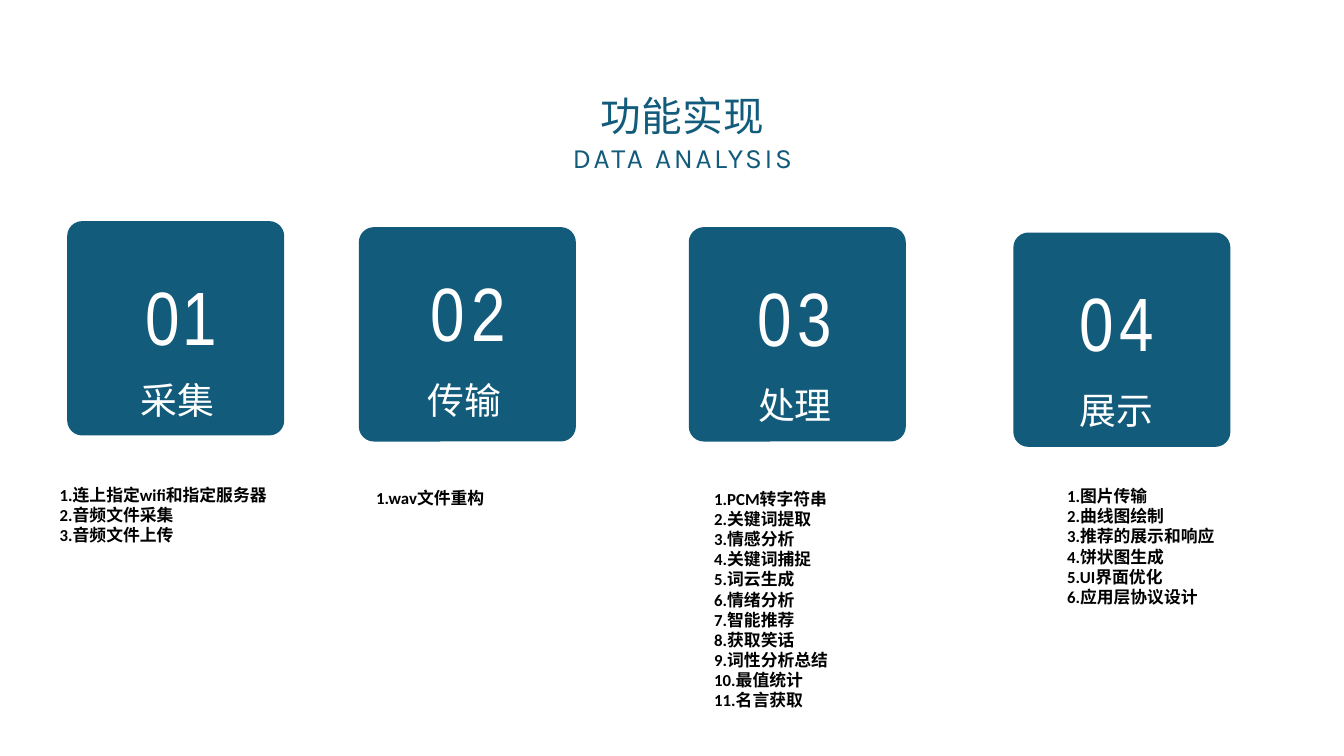
import pptx
import pptx.dml.color
import pptx.enum.shapes
import pptx.enum.text
import pptx.util
from lxml import etree
from pptx.oxml.ns import qn
from pptx.util import Inches

TEAL = "125B7B"
WHITE = "FFFFFF"
BLACK = "000000"
CJK = "Noto Sans CJK SC"
CENTER = pptx.enum.text.PP_ALIGN.CENTER


def color(value):
    return pptx.dml.color.RGBColor.from_string(value)


def add_span(para, text, size, font, fill, spacing):
    """Add a run with letter spacing in points."""
    span = para.add_run()
    span.text = text
    span.font.size = pptx.util.Pt(size)
    span.font.name = font
    span.font.color.rgb = color(fill)
    properties = span.font._element
    properties.set("spc", str(round(spacing * 100)))
    if font == CJK:
        etree.SubElement(properties, qn("a:ea")).set("typeface", font)


deck = pptx.Presentation()
deck.slide_width = Inches(20)
deck.slide_height = Inches(11.25)
page = deck.slides.add_slide(deck.slide_layouts[5])

title = page.shapes.title
title.left, title.top = Inches(1.11), Inches(-0.29)
title.width, title.height = Inches(17.78), Inches(2.89)
frame = title.text_frame
frame.word_wrap = True
frame.auto_size = pptx.enum.text.MSO_AUTO_SIZE.SHAPE_TO_FIT_TEXT
frame.vertical_anchor = pptx.enum.text.MSO_ANCHOR.TOP
frame.margin_left = frame.margin_right = frame.margin_bottom = 0
frame.margin_top = Inches(1.65)
para = frame.paragraphs[0]
para.alignment = CENTER
para._p.get_or_add_pPr().set("marL", str(Inches(0.31)))
add_span(para, "功能实现", 43.5, CJK, TEAL, 0.2)
para.add_line_break()
add_span(para, "DATA ", 30, "Karla", TEAL, 2.9)
add_span(para, "ANALYSIS", 30, "Karla", TEAL, 2.8)

# card left and top; label left, top, height, inset, digit spacing, space before each line
# name; list left, top, width, height; list items
stages = [
    ((1, 3.29), (1.58, 3.46, 2.85, 0.55, 3.1, 39.5, 19.1), "采集 ",
     (0.79, 7.16, 3.43, 1.01),
     ["连上指定wifi和指定服务器", "音频文件采集", "音频文件上传"]),
    ((5.34, 3.38), (5.85, 3.32, 2.99, 0.64, 6.5, 46.4, 22.6), "传输 ",
     (5.5, 7.21, 1.83, 0.4),
     ["wav文件重构"]),
    ((10.25, 3.38), (10.71, 3.39, 2.99, 0.64, 6.4, 46.4, 22.6), "处理",
     (10.53, 7.22, 2.16, 3.73),
     ["PCM转字符串", "关键词提取", "情感分析", "关键词捕捉", "词云生成", "情绪分析",
      "智能推荐", "获取笑话", "词性分析总结", "最值统计", "名言获取"]),
    ((15.08, 3.46), (15.5, 3.47, 2.99, 0.64, 6.4, 46.4, 22.6), "展示",
     (15.78, 7.18, 2.71, 1.92),
     ["图片传输", "曲线图绘制", "推荐的展示和响应", "饼状图生成", "UI界面优化",
      "应用层协议设计"]),
]

for number, (corner, label, name, area, items) in enumerate(stages, 1):
    card = page.shapes.add_shape(
        pptx.enum.shapes.MSO_SHAPE.ROUNDED_RECTANGLE,
        Inches(corner[0]), Inches(corner[1]), Inches(3.23), Inches(3.19))
    card.adjustments[0] = 0.07
    card.shadow.inherit = False
    card.fill.solid()
    card.fill.fore_color.rgb = color(TEAL)
    card.line.fill.background()

    left, top, height, inset, spacing, number_gap, name_gap = label
    box = page.shapes.add_textbox(Inches(left), Inches(top), Inches(2.24), Inches(height))
    frame = box.text_frame
    frame.word_wrap = True
    frame.auto_size = pptx.enum.text.MSO_AUTO_SIZE.SHAPE_TO_FIT_TEXT
    frame.margin_left = frame.margin_right = frame.margin_bottom = 0
    frame.margin_top = Inches(inset)
    para = frame.paragraphs[0]
    para.alignment = CENTER
    para.space_before = pptx.util.Pt(number_gap)
    add_span(para, f"{number:02}", 81, "Arial Narrow", WHITE, spacing)
    para = frame.add_paragraph()
    para.alignment = CENTER
    para.space_before = pptx.util.Pt(name_gap)
    add_span(para, name, 39.5, CJK, WHITE, 0.2)

    box = page.shapes.add_textbox(*map(Inches, area))
    frame = box.text_frame
    frame.word_wrap = True
    frame.auto_size = pptx.enum.text.MSO_AUTO_SIZE.SHAPE_TO_FIT_TEXT
    frame.text = "\n".join(f"{index}.{item}" for index, item in enumerate(items, 1))
    for para in frame.paragraphs:
        para.font.size = pptx.util.Pt(18)
        para.font.name = "Calibri"
        para.font.bold = True
        para.font.color.rgb = color(BLACK)

deck.save("out.pptx")
